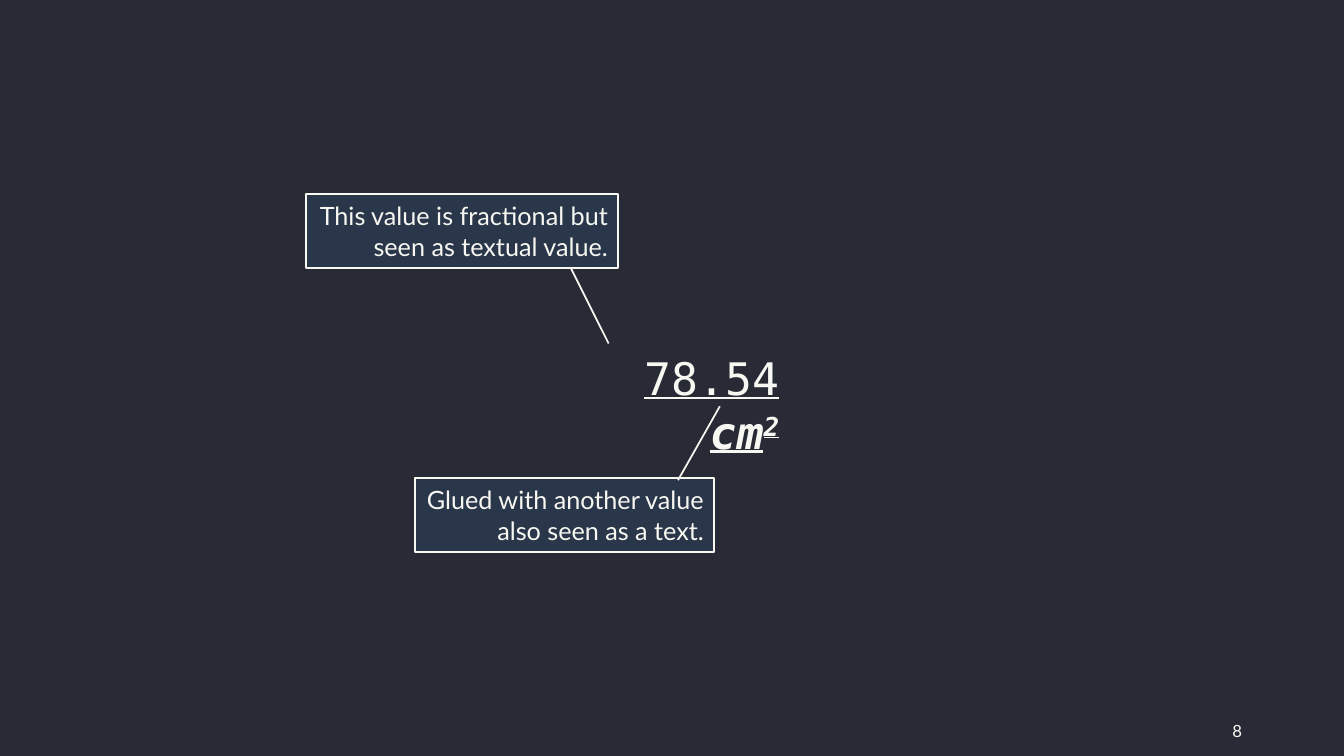
from dataclasses import dataclass

from pptx import Presentation
from pptx.dml.color import RGBColor
from pptx.enum.shapes import MSO_SHAPE
from pptx.enum.text import MSO_ANCHOR, PP_ALIGN
from pptx.util import Emu, Pt

CALLOUT = MSO_SHAPE.LINE_CALLOUT_1
RIGHT = PP_ALIGN.RIGHT
TOP, MIDDLE = MSO_ANCHOR.TOP, MSO_ANCHOR.MIDDLE
SCALE = 914400 / 100.8


@dataclass(frozen=True)
class Theme:
    back: RGBColor = RGBColor(0x28, 0x2A, 0x36)
    panel: RGBColor = RGBColor(0x2A, 0x36, 0x4A)
    ink: RGBColor = RGBColor(0xF8, 0xF8, 0xF2)
    sans: str = "Lato"
    mono: str = "DejaVu Sans Mono"
    page: Pt = Pt(12)
    note: Pt = Pt(18)
    value: Pt = Pt(32)
    line: Pt = Pt(1.25)


THEME = Theme()


def px(count):
    return Emu(round(count * SCALE))


def apply(target, values):
    for name, value in values.items():
        setattr(target, name, value)


def write(shape, runs, font, size, anchor=MIDDLE):
    """Fill a shape with one right-aligned line of (text, format) runs."""
    frame = shape.text_frame
    apply(frame, {"word_wrap": True, "vertical_anchor": anchor})
    para = frame.paragraphs[0]
    para.alignment = RIGHT
    for text, style in runs:
        run = para.add_run()
        run.text = text
        apply(run.font, {"name": font, "size": size, **style})
        run.font.color.rgb = THEME.ink
    return para


def add_text(slide, box, runs, font, size, anchor=MIDDLE):
    shape = slide.shapes.add_textbox(*map(px, box))
    return write(shape, runs, font, size, anchor)


def add_note(slide, box, text, tail):
    """Add a callout; tail holds y, x of both line ends as shares of the box."""
    shape = slide.shapes.add_shape(CALLOUT, *map(px, box))
    shape.shadow.inherit = False
    shape.fill.solid()
    shape.fill.fore_color.rgb = THEME.panel
    shape.line.color.rgb = THEME.ink
    shape.line.width = THEME.line
    for index, share in enumerate(tail):
        shape.adjustments[index] = share
    write(shape, [(text, {})], THEME.sans, THEME.note)


def add_value(slide):
    unit = {"bold": True, "italic": True, "underline": True}
    runs = [("78.54", {"underline": True}), (" ", {}), ("cm", unit), ("2", unit)]
    para = add_text(slide, (553, 346, 236, 64), runs, THEME.mono, THEME.value, TOP)
    para.runs[-1].font._element.set("baseline", "30000")


def main():
    deck = Presentation()
    apply(deck, {"slide_width": px(1344), "slide_height": px(756)})
    slide = deck.slides.add_slide(deck.slide_layouts[6])
    fill = slide.background.fill
    fill.solid()
    fill.fore_color.rgb = THEME.back

    add_text(slide, (1177, 711, 75, 40), [("8", {})], THEME.sans, THEME.page)
    add_value(slide)
    add_note(slide, (306, 194, 312, 74),
             "This value is fractional but seen as textual value.",
             (1.01, 0.85, 2.02, 0.97))
    add_note(slide, (415, 478, 299, 74),
             "Glued with another value also seen as a text.",
             (0.03, 0.88, -0.97, 1.02))
    deck.save("out.pptx")


if __name__ == "__main__":
    main()
